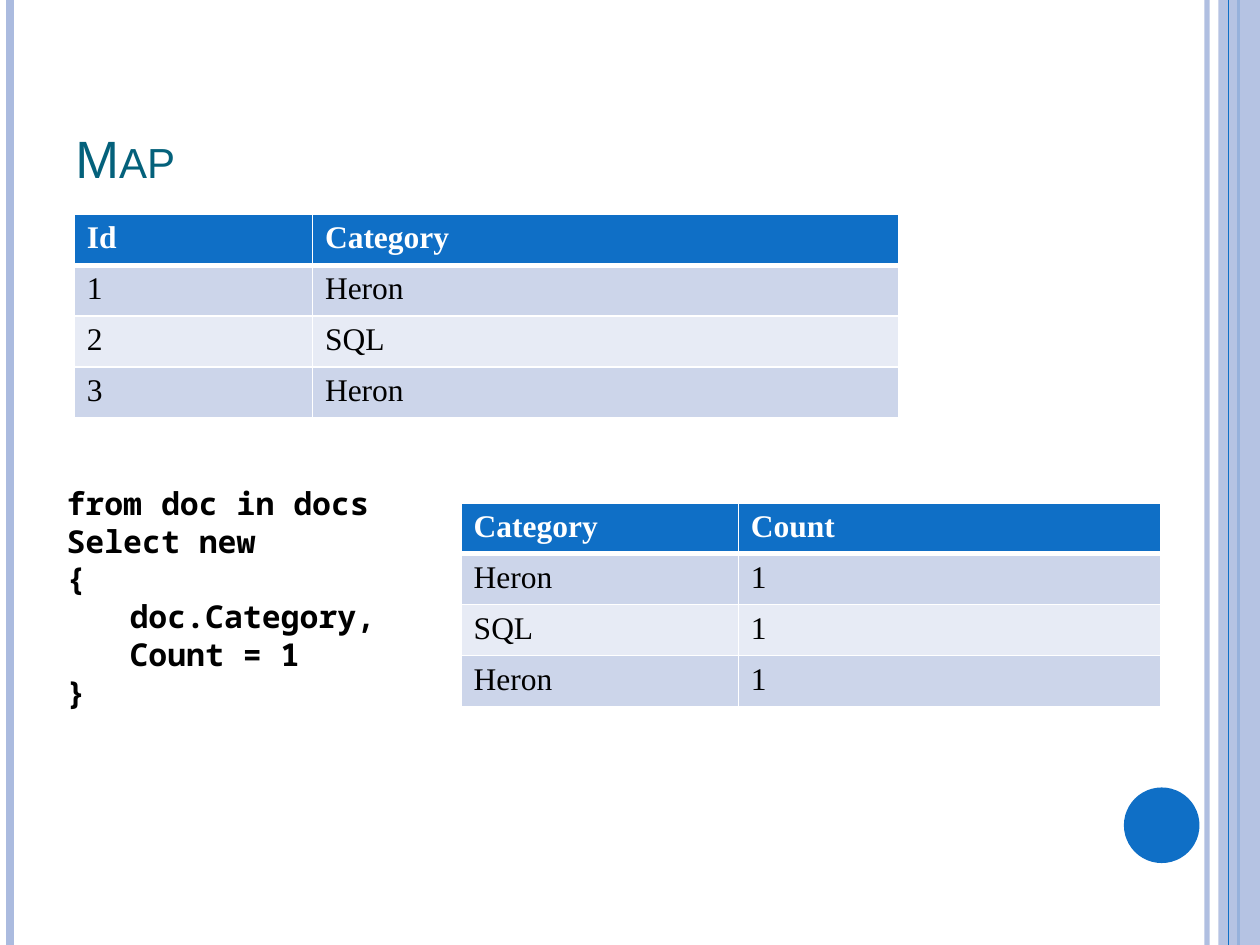
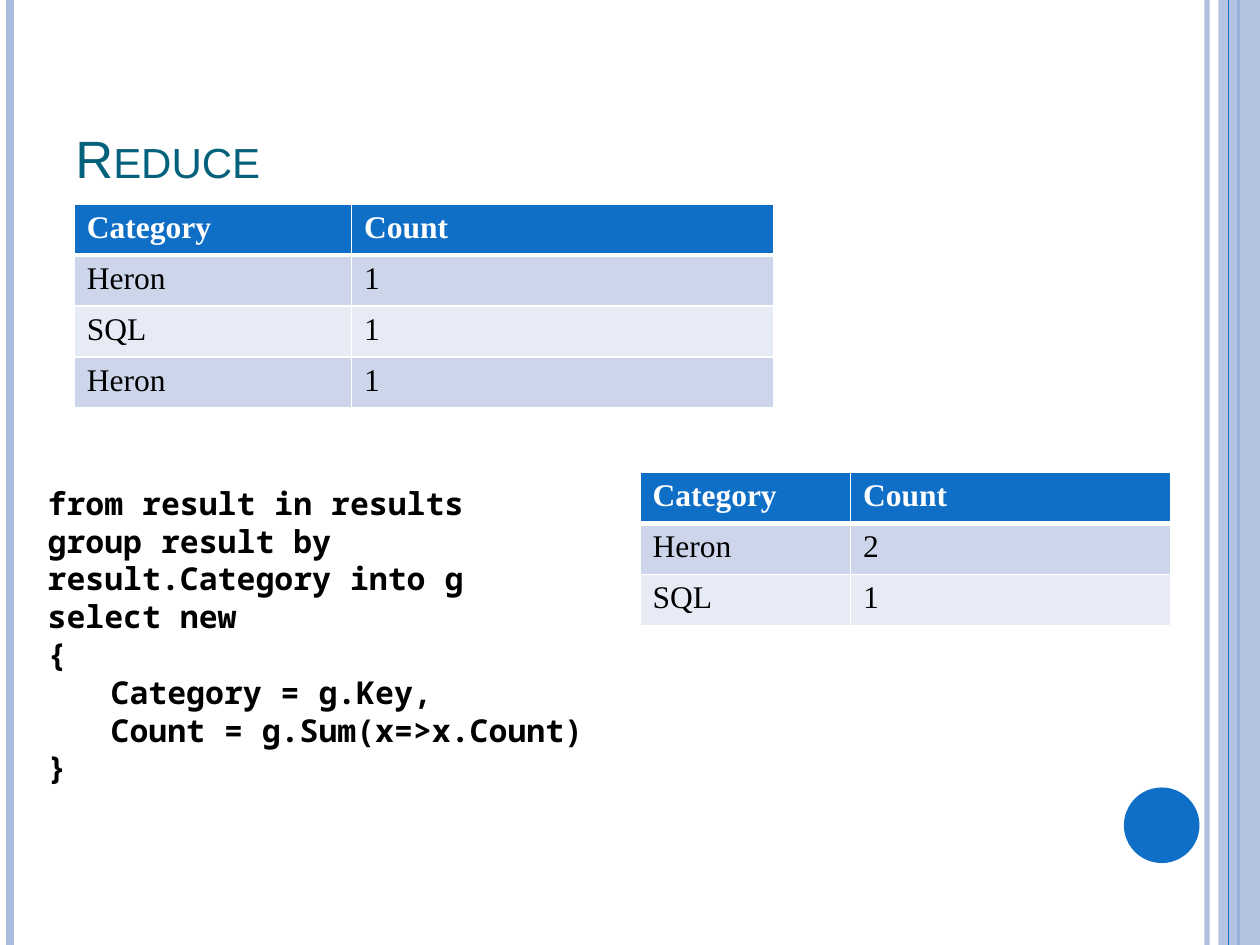
from dataclasses import dataclass
from pptx import Presentation
from pptx.dml.color import RGBColor
from pptx.enum.shapes import MSO_CONNECTOR, MSO_SHAPE
from pptx.enum.text import MSO_ANCHOR, MSO_AUTO_SIZE
from pptx.oxml.ns import qn
from pptx.util import Inches, Pt
from lxml.etree import SubElement


@dataclass(frozen=True)
class Theme:
    width: float = 10
    height: float = 7.5
    accent: str = "0F6FC6"
    band: str = "ABBBDF"
    title: str = "04617B"
    ink: str = "000000"
    paper: str = "FFFFFF"
    stripes: tuple = ("E7EBF5", "CCD5EA")
    title_size: int = 30
    body_size: int = 18
    title_font: str = "Arial"
    code_font: str = "Noto Sans Mono"
    table_font: str = "Times New Roman"
    row_height: float = 1.62 / 4
    border: int = 1
    header_border: int = 3


THEME = Theme()
TITLE_FORMAT = {"name": THEME.title_font, "size": Pt(THEME.title_size), "bold": False}
CODE_FORMAT = {"name": THEME.code_font, "size": Pt(THEME.body_size), "bold": True}
HEADER_FORMAT = {"name": THEME.table_font, "size": Pt(THEME.body_size), "bold": True}
CELL_FORMAT = {**HEADER_FORMAT, "bold": False}

CATEGORY_COUNTS = [("Category", "Count"), ("Heron", "1"), ("SQL", "1"), ("Heron", "1")]


def format_runs(paragraph, values, color):
    for run in paragraph.runs:
        for attribute, value in values.items():
            setattr(run.font, attribute, value)
        run.font.color.rgb = RGBColor.from_string(color)


def set_opacity(properties, percent):
    color = next(properties.iter(qn("a:srgbClr")))
    SubElement(color, qn("a:alpha"), val=str(percent * 1000))


def add_rule(slide, x, color, weight, opacity=100):
    rule = slide.shapes.add_connector(
        MSO_CONNECTOR.STRAIGHT, Inches(x), 0, Inches(x), Inches(THEME.height))
    rule.line.color.rgb = RGBColor.from_string(color)
    rule.line.width = Pt(weight)
    properties = rule.line._get_or_add_ln().getparent()
    if opacity < 100:
        set_opacity(properties, opacity)
    SubElement(properties, qn("a:effectLst"))


def add_block(slide, preset, box, color, opacity=100):
    block = slide.shapes.add_shape(preset, *map(Inches, box))
    block.shadow.inherit = False
    block.fill.solid()
    block.fill.fore_color.rgb = RGBColor.from_string(color)
    block.line.fill.background()
    if opacity < 100:
        set_opacity(block.element.spPr, opacity)


def add_decoration(slide):
    add_rule(slide, 9.58, THEME.band, 3, 93)
    add_rule(slide, 0.08, THEME.band, 4.5)
    add_rule(slide, 9.83, THEME.accent, 1.5)
    add_block(slide, MSO_SHAPE.RECTANGLE, (9.67, 0, 0.33, THEME.height), THEME.band, 87)
    add_rule(slide, 9.75, THEME.accent, 0.75)
    add_block(slide, MSO_SHAPE.OVAL, (8.92, 6.25, 0.6, 0.6), THEME.accent)


def add_text(slide, box, text, values, color, frame_values):
    frame = slide.shapes.add_textbox(*map(Inches, box)).text_frame
    for attribute, value in {"word_wrap": True, **frame_values}.items():
        setattr(frame, attribute, value)
    frame.text = text
    for paragraph in frame.paragraphs:
        format_runs(paragraph, values, color)
    return frame


def add_title(slide, text):
    frame = add_text(slide, (0.5, 0.3, 8.17, 1.25), text, TITLE_FORMAT, THEME.title,
                     {"vertical_anchor": MSO_ANCHOR.BOTTOM})
    frame.paragraphs[0].runs[0].font._element.set("cap", "small")


def add_code(slide, left, height, lines):
    add_text(slide, (left, 3.51, 4.8, height), "\n".join(lines), CODE_FORMAT, THEME.ink,
             {"margin_top": Inches(0.33), "auto_size": MSO_AUTO_SIZE.SHAPE_TO_FIT_TEXT})


def set_borders(cell, row):
    weights = {
        "L": THEME.border,
        "R": THEME.border,
        "T": THEME.header_border if row == 1 else THEME.border,
        "B": THEME.header_border if row == 0 else THEME.border,
    }
    properties = cell._tc.get_or_add_tcPr()
    for side, weight in weights.items():
        line = SubElement(properties, qn(f"a:ln{side}"), w=str(Pt(weight)))
        fill = SubElement(line, qn("a:solidFill"))
        SubElement(fill, qn("a:srgbClr"), val=THEME.paper)


def add_data_table(slide, left, top, column_widths, records):
    table = slide.shapes.add_table(
        len(records), len(column_widths), Inches(left), Inches(top),
        Inches(sum(column_widths)), Inches(THEME.row_height * len(records))).table
    table.horz_banding = False
    for column, width in zip(table.columns, column_widths):
        column.width = Inches(width)
    for row, record in enumerate(records):
        is_header = row == 0
        background = THEME.accent if is_header else THEME.stripes[row % 2]
        for column, value in enumerate(record):
            cell = table.cell(row, column)
            set_borders(cell, row)
            cell.fill.solid()
            cell.fill.fore_color.rgb = RGBColor.from_string(background)
            cell.text = value
            format_runs(cell.text_frame.paragraphs[0],
                        HEADER_FORMAT if is_header else CELL_FORMAT,
                        THEME.paper if is_header else THEME.ink)


def start_slide(deck, title):
    slide = deck.slides.add_slide(deck.slide_layouts[6])
    add_decoration(slide)
    add_title(slide, title)
    return slide


def build_map(deck):
    slide = start_slide(deck, "Map")
    add_data_table(slide, 0.59, 1.7, (1.89, 4.65),
                   [("Id", "Category"), ("1", "Heron"), ("2", "SQL"), ("3", "Heron")])
    add_code(slide, 0.43, 2.22, [
        "from doc in docs", "Select new", "{", "\tdoc.Category,", "\tCount = 1\v}"])
    add_data_table(slide, 3.66, 3.99, (2.2, 3.35), CATEGORY_COUNTS)


def build_reduce(deck):
    slide = start_slide(deck, "Reduce")
    add_data_table(slide, 0.59, 1.62, (2.2, 3.35), CATEGORY_COUNTS)
    add_code(slide, 0.28, 2.83, [
        "from result in results", "group result by result.Category into g",
        "select new", "{", "\tCategory = g.Key,", "\tCount = g.Sum(x=>x.Count)\v}"])
    add_data_table(slide, 5.08, 3.75, (1.67, 2.54),
                   [("Category", "Count"), ("Heron", "2"), ("SQL", "1")])


def main():
    deck = Presentation()
    deck.slide_width = Inches(THEME.width)
    deck.slide_height = Inches(THEME.height)
    build_map(deck)
    build_reduce(deck)
    deck.save("out.pptx")


main()
